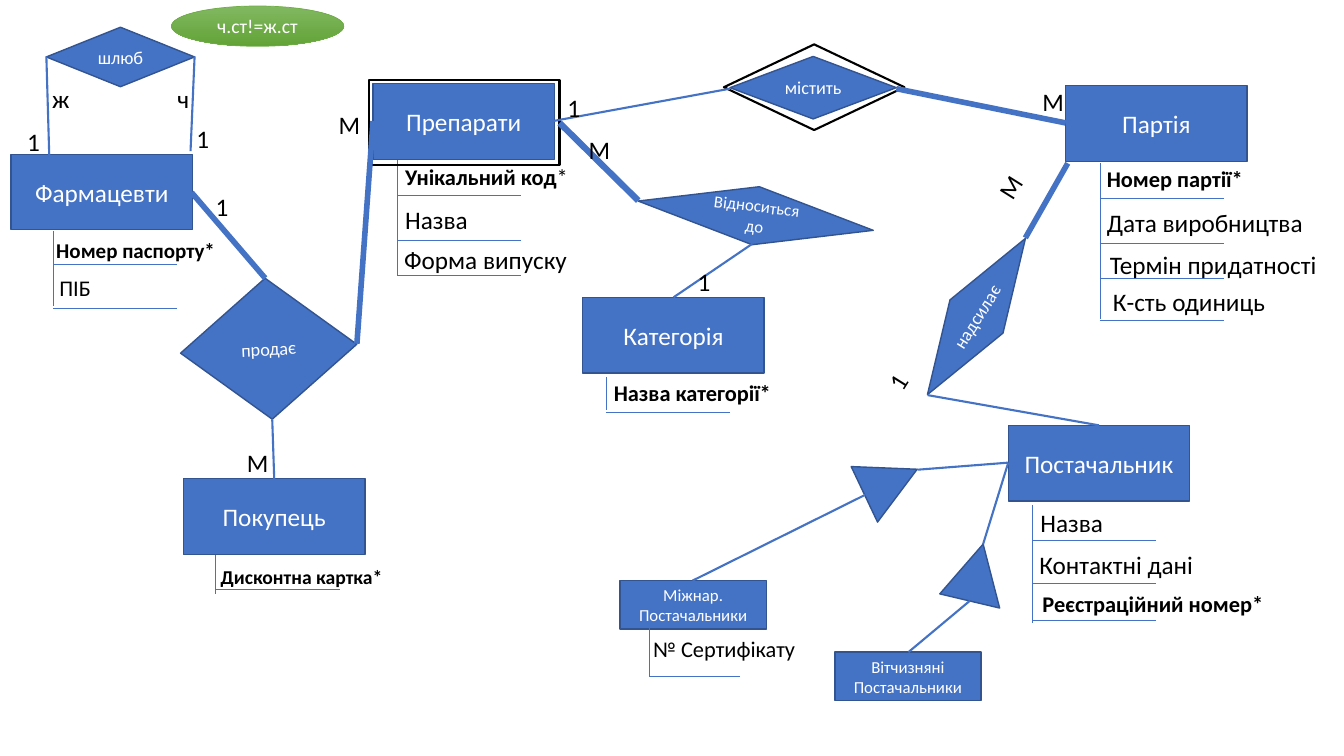
"""Entity relationship diagram of a pharmacy."""
from lxml import etree
from pptx import Presentation
from pptx.dml.color import RGBColor
from pptx.enum.shapes import MSO_CONNECTOR, MSO_SHAPE
from pptx.enum.text import MSO_ANCHOR, MSO_AUTO_SIZE, PP_ALIGN
from pptx.oxml.ns import qn
from pptx.util import Inches, Pt

RECT, RHOMB = MSO_SHAPE.RECTANGLE, MSO_SHAPE.DIAMOND
WEDGE, OVAL = MSO_SHAPE.ISOSCELES_TRIANGLE, MSO_SHAPE.OVAL
LINE, MIDDLE = MSO_CONNECTOR.STRAIGHT, MSO_ANCHOR.MIDDLE
CENTER, GROW = PP_ALIGN.CENTER, MSO_AUTO_SIZE.SHAPE_TO_FIT_TEXT
FONT = "Calibri"
COLORS = {"blue": "4472C4", "edge": "325491", "white": "FFFFFF", "black": "000000",
          "light": "81B861", "dark": "62A336", "green": "70AD47"}
BIG, SMALL = (1.8, 0.75), (1.45, 0.48)
THIN, PLAIN, THICK = 0.5, 1.5, 4

# name, left, top, size, font size, stem (x, from, to), rule length,
# rows of (text, x, y, width, font size, rule y), all relative to the entity
ENTITIES = [
    ("Фармацевти", 0.11, 1.53, BIG, 18, (0.42, 0.76, 1.51), 1.23, [
        ("Номер паспорту*", 0.35, 0.78, 2.03, 15, 1.09),
        ("ПІБ", 0.38, 1.14, 1.63, 16, 1.53)]),
    ("Препарати", 3.7, 0.83, BIG, 18, (0.24, 0.76, 1.9), 1.23, [
        ("Унікальний код|*", 0.22, 0.74, 1.88, 16, 1.11),
        ("Назва", 0.22, 1.15, 0.88, 18, 1.55),
        ("Форма випуску", 0.21, 1.54, 1.88, 18, 1.9)]),
    ("Партія", 10.57, 0.85, BIG, 18, (0.34, 0.77, 2.31), 1.23, [
        ("Номер партії*", 0.31, 0.74, 1.62, 16, 1.12),
        ("Дата виробництва", 0.31, 1.16, 2.22, 18, 1.56),
        ("Термін придатності", 0.34, 1.57, 2.32, 18, 1.91),
        ("К-сть одиниць", 0.37, 1.94, 1.78, 18, 2.33)]),
    ("Постачальник", 10, 4.22, BIG, 18, (0.24, 0.79, 1.96), 1.23, [
        ("Назва", 0.22, 0.76, 0.88, 18, 1.14),
        ("Контактні дані", 0.21, 1.18, 1.79, 18, 1.57),
        ("Реєстраційний номер*", 0.24, 1.59, 2.65, 16, 1.93)]),
    ("Покупець", 1.82, 4.75, BIG, 18, (0.32, 0.76, 1.14), 1.23, [
        ("Дисконтна картка*", 0.27, 0.8, 2.29, 14, 1.1)]),
    ("Категорія", 5.78, 2.95, BIG, 18, (0.23, 0.79, 1.12), 1.23, [
        ("Назва категорії*", 0.21, 0.76, 1.83, 16, 1.14)]),
    ("Міжнар. Постачальники", 6.15, 5.76, SMALL, 12, (0.29, 0.47, 0.95), 0.9, [
        ("№ Сертифікату", 0.23, 0.49, 1.65, 16, 0.95)]),
    ("Вітчизняні Постачальники", 8.28, 6.47, SMALL, 12, None, 0, []),
]
ROLES = [
    ("шлюб", (0.46, 0.27, 1.47, 0.59), 0, 13),
    ("містить", (7.24, 0.56, 1.65, 0.62), 0, 13),
    ("надсилає", (8.77, 2.83, 1.83, 0.62), 302.1, 13),
    ("продає", (1.79, 2.76, 1.75, 1.4), 357.1, 13),
    ("Відноситься до", (6.32, 1.85, 2.35, 0.58), 7.1, 12),
]
LINKS = [
    (0.49, 1.59, 0.46, 0.56, PLAIN), (1.89, 1.5, 1.93, 0.56, PLAIN),
    (8.89, 0.88, 10.57, 1.22, THICK), (5.49, 1.2, 7.24, 0.88, PLAIN),
    (10.9, 4.22, 9.2, 3.92, PLAIN), (10.17, 2.36, 10.59, 1.62, THICK),
    (2.63, 2.76, 1.9, 1.91, THICK), (2.7, 4.16, 2.72, 4.75, PLAIN),
    (3.7, 1.2, 3.54, 3.41, THICK), (5.55, 1.22, 6.33, 1.99, 4.5),
    (7.46, 2.42, 6.68, 2.95, PLAIN), (9.1, 4.66, 10, 4.59, PLAIN),
    (9.75, 5.4, 10, 4.59, PLAIN), (6.87, 5.76, 8.58, 4.91, PLAIN),
    (9.01, 6.47, 9.62, 5.96, PLAIN),
]
MARKS = [
    ("1", 0.17, 1.2, 0), ("1", 1.85, 1.17, 0), ("ж", 0.42, 0.78, 0),
    ("ч", 1.66, 0.78, 0), ("1", 2.04, 1.85, 0), ("М", 3.26, 1.04, 0),
    ("М", 2.35, 4.39, 0), ("1", 5.53, 0.87, 0), ("М", 5.74, 1.28, 0),
    ("1", 6.82, 2.59, 0), ("М", 10.24, 0.81, 0), ("М", 9.81, 1.65, 302.1),
    ("1", 8.74, 3.58, 302.1),
]
WIDTHS = {"1": 0.33, "М": 0.42, "ж": 0.4, "ч": 0.35}


def tint(name):
    """Return a named colour."""
    return RGBColor.from_string(COLORS[name])


def style(run, size, color, bold=False):
    """Format one run."""
    run.font.name, run.font.size, run.font.bold = FONT, Pt(size), bold
    run.font.color.rgb = tint(color)


def figure(slide, kind, box, fill="blue", edge="edge", width=1, turn=0):
    """Add a preset shape; no fill name leaves it hollow."""
    shape = slide.shapes.add_shape(kind, *map(Inches, box))
    shape.shadow.inherit = False
    shape.rotation = turn
    if fill:
        shape.fill.solid()
        shape.fill.fore_color.rgb = tint(fill)
    else:
        shape.fill.background()
    shape.line.color.rgb = tint(edge)
    shape.line.width = Pt(width)
    return shape


def caption(shape, text, size):
    """Put white centred text in a shape."""
    frame = shape.text_frame
    frame.text = text
    frame.word_wrap = " " in text
    frame.vertical_anchor = MIDDLE
    para = frame.paragraphs[0]
    para.alignment = CENTER
    style(para.runs[0], size, "white")


def link(slide, x1, y1, x2, y2, width=THIN):
    """Draw a straight line."""
    line = slide.shapes.add_connector(LINE, *map(Inches, (x1, y1, x2, y2)))
    line.line.color.rgb = tint("blue")
    line.line.width = Pt(width)
    etree.SubElement(line._element.spPr, qn("a:effectLst"))


def label(slide, text, x, y, width, size, turn=0):
    """Write black text; a star makes it a bold key, a bar ends the bold part."""
    box = slide.shapes.add_textbox(*map(Inches, (x, y, width, size / 60 + 0.1)))
    box.rotation = turn
    frame = box.text_frame
    frame.word_wrap = True
    frame.auto_size = GROW
    for i, part in enumerate(text.split("|")):
        run = frame.paragraphs[0].add_run()
        run.text = part
        style(run, size, "black", "*" in text and i == 0)


def entity(slide, name, x, y, dims, size, stem, length, rows):
    """Draw an entity with its list of attributes."""
    caption(figure(slide, RECT, (x, y, *dims)), name, size)
    if stem:
        dx, top, end = stem
        link(slide, x + dx, y + top, x + dx, y + end)
    for text, left, top, width, points, rule in rows:
        link(slide, x + dx, y + rule, x + dx + length, y + rule)
        label(slide, text, x + left, y + top, width, points)


def role(slide, name, box, turn, size):
    """Draw a relationship diamond."""
    caption(figure(slide, RHOMB, box, turn=turn), name, size)


def badge(slide, box, text):
    """Draw the green constraint oval."""
    shape = figure(slide, OVAL, box, edge="green", width=THIN)
    shape.fill.gradient()
    shape.fill.gradient_angle = 270
    for stop, name in zip(shape.fill.gradient_stops, ("light", "dark")):
        stop.color.rgb = tint(name)
    caption(shape, text, 14)


def main():
    """Build and save the slide."""
    deck = Presentation()
    deck.slide_width, deck.slide_height = Inches(13.33), Inches(7.5)
    slide = deck.slides.add_slide(deck.slide_layouts[6])
    for item in ENTITIES:
        entity(slide, *item)
    for item in ROLES:
        role(slide, *item)
    figure(slide, RHOMB, (7.18, 0.44, 1.79, 0.85), None, "black", PLAIN)
    figure(slide, RECT, (3.66, 0.79, 1.89, 0.85), None, "black", PLAIN)
    for x, y, turn in ((8.53, 4.49, 64.6), (9.38, 5.39, 13.3)):
        figure(slide, WEDGE, (x, y, 0.61, 0.58), turn=turn)
    for item in LINKS:
        link(slide, *item)
    for text, x, y, turn in MARKS:
        label(slide, text, x, y, WIDTHS[text], 18, turn)
    badge(slide, (1.7, 0.06, 1.71, 0.4), "ч.ст!=ж.ст")
    deck.save("out.pptx")


if __name__ == "__main__":
    main()
